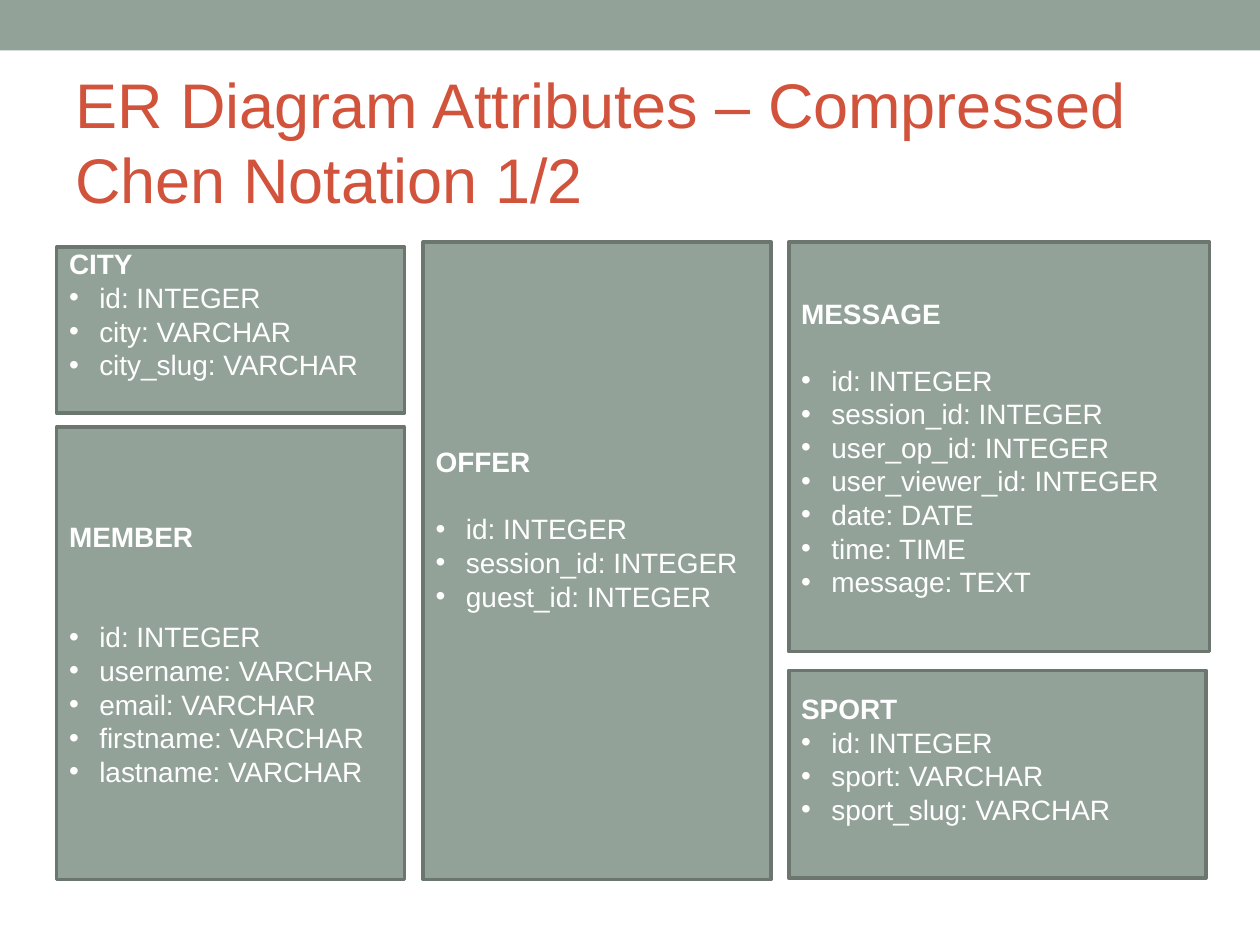
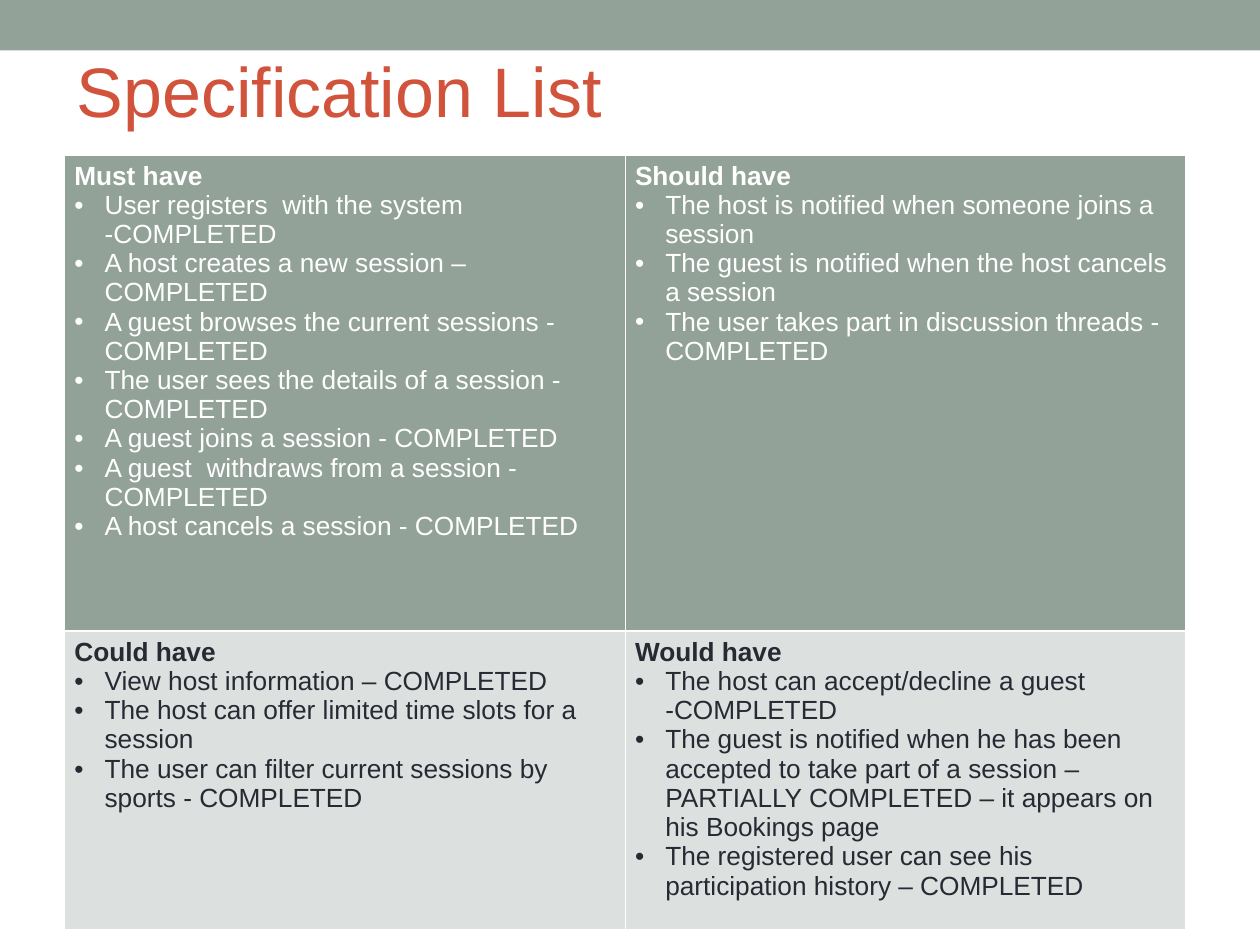
from lxml.etree import SubElement
from pptx import Presentation
from pptx.dml.color import RGBColor
from pptx.enum.shapes import MSO_SHAPE
from pptx.enum.text import MSO_ANCHOR, PP_ALIGN
from pptx.oxml import parse_xml
from pptx.oxml.ns import nsdecls, qn
from pptx.util import Inches, Pt

SAGE, SAGE_EDGE, SAGE_PALE = "93A299", "6B766F", "DCE0DE"
RUST, INK, WHITE = "D2533C", "292934", "FFFFFF"
FONT = "Arial"
BULLET_INDENT = 0.24
ENTITY_PITCH, CELL_PITCH = 19.2, 16.7

ENTITIES = [
    ((0.45, 1.96, 2.76, 1.32), 0, 0, "CITY",
     ["id: INTEGER", "city: VARCHAR", "city_slug: VARCHAR"]),
    ((0.45, 3.39, 2.76, 3.59), 0.73, 2, "MEMBER",
     ["id: INTEGER", "username: VARCHAR", "email: VARCHAR",
      "firstname: VARCHAR", "lastname: VARCHAR"]),
    ((3.36, 1.92, 2.76, 5.06), 1.61, 1, "OFFER",
     ["id: INTEGER", "session_id: INTEGER", "guest_id: INTEGER"]),
    ((6.26, 5.32, 3.31, 1.65), 0.17, 0, "SPORT",
     ["id: INTEGER", "sport: VARCHAR", "sport_slug: VARCHAR"]),
    ((6.26, 1.92, 3.34, 3.25), 0.43, 1, "MESSAGE",
     ["id: INTEGER", "session_id: INTEGER", "user_op_id: INTEGER",
      "user_viewer_id: INTEGER", "date: DATE", "time: TIME", "message: TEXT"]),
]

PRIORITIES = [
    [("Must have",
      ["User registers  with the system -COMPLETED",
       "A host creates a new session –COMPLETED",
       "A guest browses the current sessions - COMPLETED",
       "The user sees the details of a session - COMPLETED",
       "A guest joins a session - COMPLETED",
       "A guest  withdraws from a session - COMPLETED",
       "A host cancels a session - COMPLETED"]),
     ("Should have",
      ["The host is notified when someone joins a session",
       "The guest is notified when the host cancels a session",
       "The user takes part in discussion threads - COMPLETED"])],
    [("Could have",
      ["View host information – COMPLETED",
       "The host can offer limited time slots for a session",
       "The user can filter current sessions by sports - COMPLETED"]),
     ("Would have",
      ["The host can accept/decline a guest -COMPLETED",
       "The guest is notified when he has been accepted to take part of a session "
       "–PARTIALLY COMPLETED – it appears on his Bookings page",
       "The registered user can see his participation history – COMPLETED"])],
]


def rgb(hex_code):
    """Turn a hex string into a colour."""
    return RGBColor.from_string(hex_code)


def write(paragraph, text, size, color, pitch, bold=False, bullet=False, after=0):
    """Write one formatted paragraph."""
    paragraph.alignment = PP_ALIGN.LEFT
    paragraph.line_spacing = Pt(pitch)
    paragraph.space_before, paragraph.space_after = Pt(0), Pt(after)
    if bullet:
        props = paragraph._p.get_or_add_pPr()
        props.set("marL", str(Inches(BULLET_INDENT)))
        props.set("indent", str(-Inches(BULLET_INDENT)))
        SubElement(props, qn("a:buFont"), typeface=FONT)
        SubElement(props, qn("a:buChar"), char="•")
    run = paragraph.add_run()
    run.text = text
    run.font.name, run.font.size, run.font.bold = FONT, Pt(size), bold
    run.font.color.rgb = rgb(color)


def write_list(frame, heading, items, size, color, pitch, gap=0):
    """Write a bold heading followed by bulleted items."""
    write(frame.paragraphs[0], heading, size, color, pitch, bold=True, after=gap)
    for item in items:
        write(frame.add_paragraph(), item, size, color, pitch, bullet=True)


def add_panel(slide, box, edge=None):
    """Add a sage rectangle, outlined when an edge colour is given."""
    panel = slide.shapes.add_shape(MSO_SHAPE.RECTANGLE, *map(Inches, box))
    panel.shadow.inherit = False
    panel.fill.solid()
    panel.fill.fore_color.rgb = rgb(SAGE)
    if edge:
        panel.line.color.rgb = rgb(edge)
        panel.line.width = Pt(2.07)
    else:
        panel.line.fill.background()
    return panel


def add_titled_slide(deck, title, box, size):
    """Add a slide with the top band and its title."""
    slide = deck.slides.add_slide(deck.slide_layouts[6])
    add_panel(slide, (0, 0, 10, 0.4))
    frame = slide.shapes.add_textbox(*map(Inches, box)).text_frame
    frame.word_wrap = True
    frame.vertical_anchor = MSO_ANCHOR.MIDDLE
    write(frame.paragraphs[0], title, size, RUST, round(size * 1.19, 1))
    return slide


def add_entity(slide, box, inset, gap_lines, name, attributes):
    """Add an entity box with its name and attributes."""
    frame = add_panel(slide, box, SAGE_EDGE).text_frame
    frame.word_wrap = True
    frame.vertical_anchor = MSO_ANCHOR.TOP
    frame.margin_top = Inches(inset)
    write_list(frame, name, attributes, 16, WHITE, ENTITY_PITCH, gap_lines * ENTITY_PITCH)


def border_cell(cell, **widths):
    """Draw white cell borders, given in the order L, R, T, B."""
    props = cell._tc.get_or_add_tcPr()
    for index, (side, width) in enumerate(widths.items()):
        props.insert(index, parse_xml(
            f'<a:ln{side} {nsdecls("a")} w="{Pt(width)}"><a:solidFill>'
            f'<a:srgbClr val="{WHITE}"/></a:solidFill></a:ln{side}>'))


def add_priorities(slide, box, row_heights):
    """Add the two-by-two table of prioritised requirements."""
    table = slide.shapes.add_table(2, 2, *map(Inches, box)).table
    styles = [(SAGE, WHITE, 0.45, 1.47), (SAGE_PALE, INK, 1.47, 0.45)]
    for row, height, entries, style in zip(table.rows, row_heights, PRIORITIES, styles):
        fill, color, top, bottom = style
        row.height = Inches(height)
        for cell, (heading, items) in zip(row.cells, entries):
            cell.margin_left = cell.margin_right = Inches(0.08)
            cell.margin_top = cell.margin_bottom = Inches(0.05)
            cell.fill.solid()
            cell.fill.fore_color.rgb = rgb(fill)
            border_cell(cell, L=0.45, R=0.45, T=top, B=bottom)
            write_list(cell.text_frame, heading, items, 15, color, CELL_PITCH)


def main():
    """Build and save both slides."""
    deck = Presentation()
    deck.slide_width, deck.slide_height = Inches(10), Inches(7.5)

    attributes = add_titled_slide(
        deck, "ER Diagram Attributes – Compressed Chen Notation 1/2", (0.5, 0.58, 9, 1.08), 36)
    for entity in ENTITIES:
        add_entity(attributes, *entity)

    specification = add_titled_slide(deck, "Specification List", (0.51, 0.21, 8.25, 1), 40)
    add_priorities(specification, (0.51, 1.23, 8.9, 6.15), (3.78, 2.37))

    deck.save("out.pptx")


if __name__ == "__main__":
    main()
